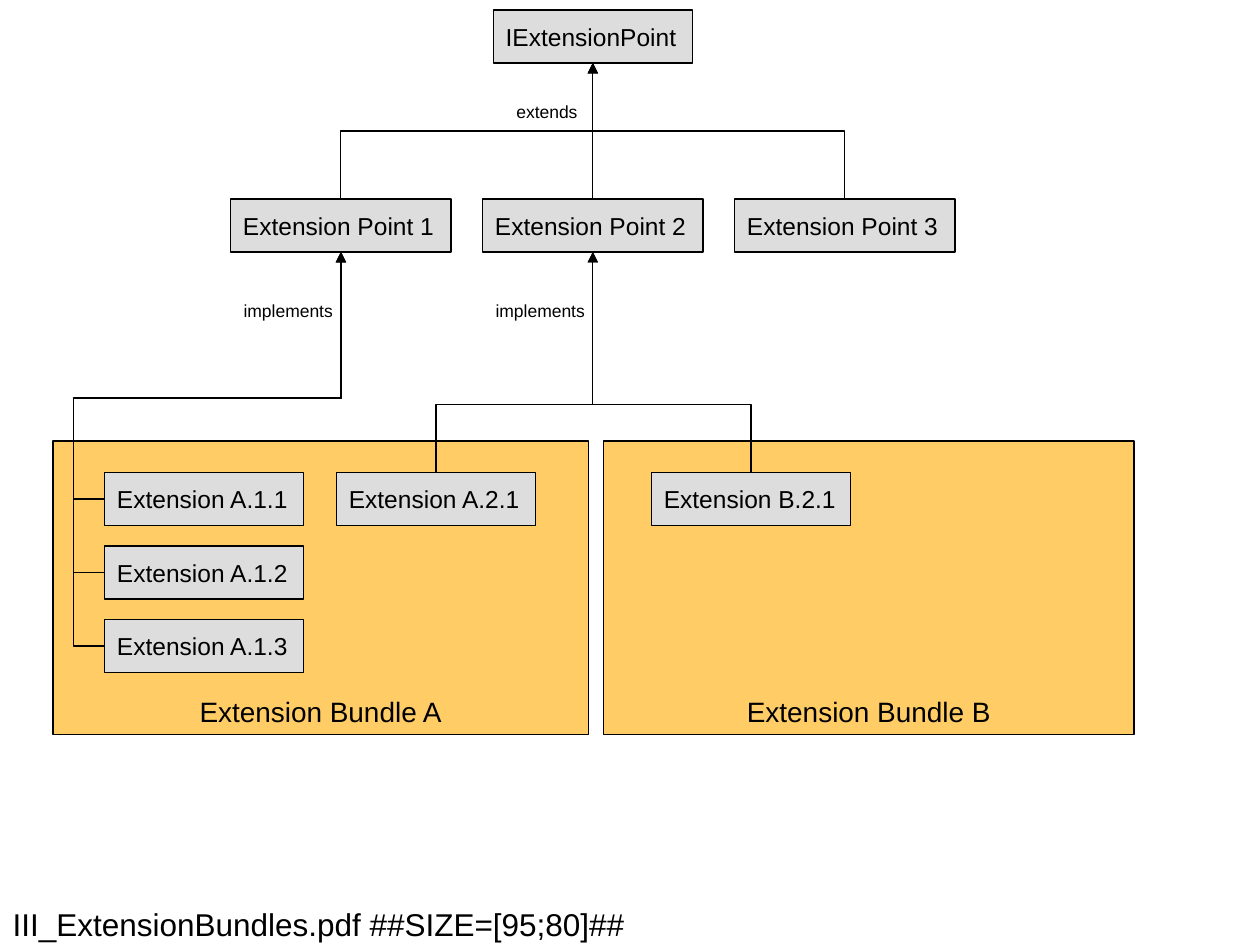
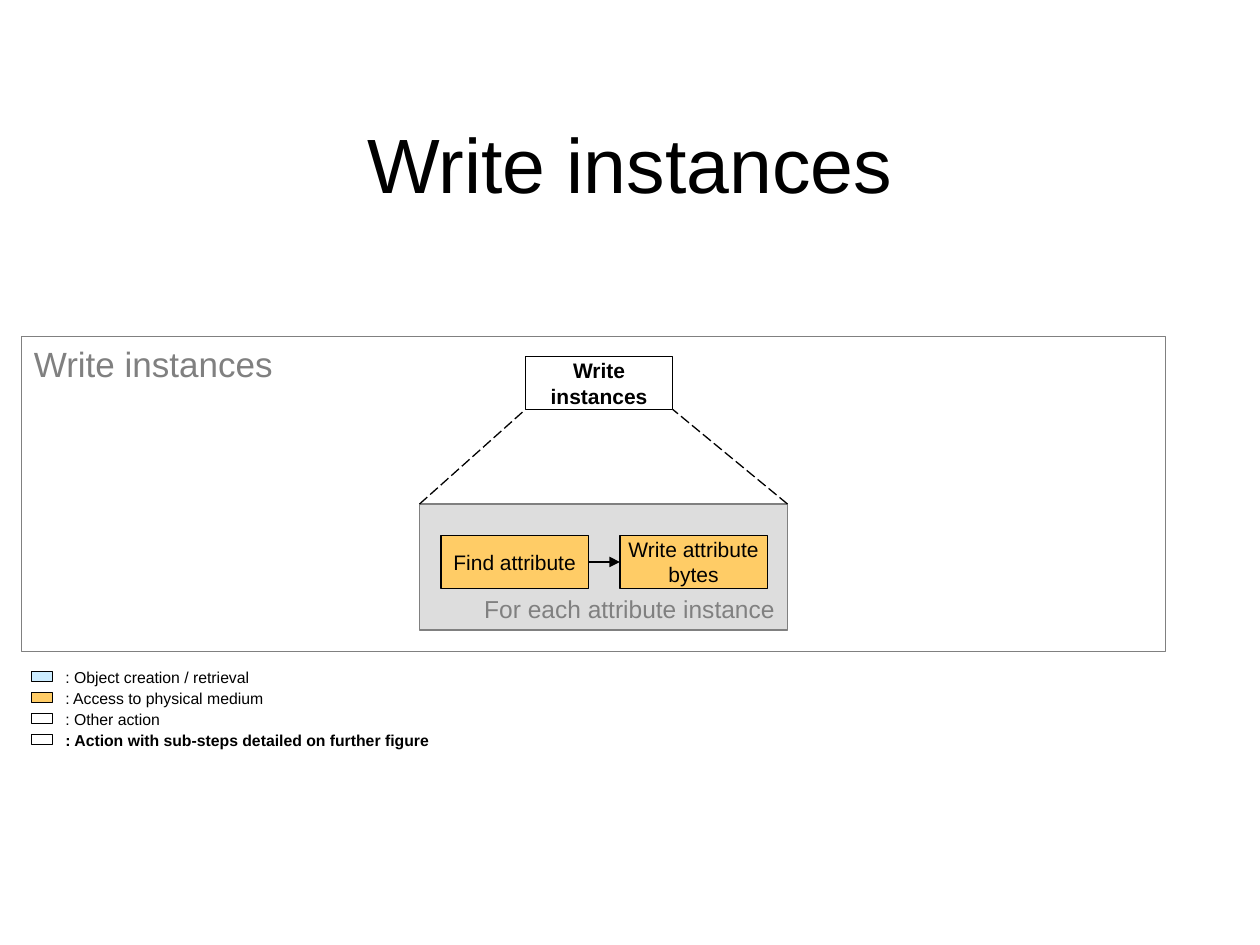
from lxml import etree
from pptx import Presentation
from pptx.dml.color import RGBColor
from pptx.enum.dml import MSO_LINE
from pptx.enum.shapes import MSO_CONNECTOR, MSO_SHAPE
from pptx.enum.text import MSO_ANCHOR, MSO_AUTO_SIZE, PP_ALIGN
from pptx.oxml.ns import qn
from pptx.util import Inches, Pt

RECT = MSO_SHAPE.RECTANGLE
STRAIGHT, ELBOW = MSO_CONNECTOR.STRAIGHT, MSO_CONNECTOR.ELBOW
DASH = MSO_LINE.LONG_DASH
TOP, MID, LOW = MSO_ANCHOR.TOP, MSO_ANCHOR.MIDDLE, MSO_ANCHOR.BOTTOM
LEFT, CENTER, RIGHT = PP_ALIGN.LEFT, PP_ALIGN.CENTER, PP_ALIGN.RIGHT
FIXED = MSO_AUTO_SIZE.NONE

FONT = "Arial"
BLACK, WHITE, GREY, SILVER = "000000", "FFFFFF", "808080", "DDDDDD"
AMBER, SKY = "FFCC66", "CCECFF"
THIN = Pt(0.75)
BOX_H = 0.42
EXT_W = 1.58
STEP_W = 1.17


# Shared helpers
def color(code):
    return RGBColor.from_string(code)


def write(shape, text, size, ink=BLACK, bold=False, align=LEFT,
          anchor=MID, wrap=False):
    frame = shape.text_frame
    for name, value in {"word_wrap": wrap, "auto_size": FIXED,
                        "vertical_anchor": anchor}.items():
        setattr(frame, name, value)
    para = frame.paragraphs[0]
    para.alignment = align
    for i, line in enumerate(text.split("\n")):
        if i:
            para.add_line_break()
        run = para.add_run()
        run.text = line
        for name, value in {"name": FONT, "size": Pt(size),
                            "bold": bold}.items():
            setattr(run.font, name, value)
        run.font.color.rgb = color(ink)
    # A line break takes the size of its text
    for br in para._p.findall(qn("a:br")):
        etree.SubElement(br, qn("a:rPr"), sz=str(size * 100))


def rect(slide, box, fill=None, edge=BLACK, text="", size=14, **style):
    shape = slide.shapes.add_shape(RECT, *map(Inches, box))
    shape.shadow.inherit = False
    if fill:
        shape.fill.solid()
        shape.fill.fore_color.rgb = color(fill)
    else:
        shape.fill.background()
    shape.line.color.rgb = color(edge)
    shape.line.width = THIN
    if text:
        write(shape, text, size, **style)


def label(slide, box, text, size, **style):
    write(slide.shapes.add_textbox(*map(Inches, box)), text, size, **style)


def line(slide, start, end, kind=STRAIGHT, arrow=True, dash=None):
    link = slide.shapes.add_connector(kind, *map(Inches, start + end))
    link.line.color.rgb = color(BLACK)
    link.line.width = THIN
    if dash:
        link.line.dash_style = dash
    props = link._element.spPr
    if arrow:
        etree.SubElement(props.find(qn("a:ln")), qn("a:tailEnd"),
                         type="triangle")
    etree.SubElement(props, qn("a:effectLst"))
    return link


def bend(link, preset, turn, flip, ratios):
    """Set the preset, turn, flips and bend ratios of an elbow."""
    props = link._element.spPr
    xfrm = props.find(qn("a:xfrm"))
    xfrm.set("rot", str(turn * 60000))
    for axis in "HV":
        xfrm.set("flip" + axis, str(int(axis in flip)))
    geom = props.find(qn("a:prstGeom"))
    geom.set("prst", preset)
    guides = geom.find(qn("a:avLst"))
    for i, ratio in enumerate(ratios, 1):
        etree.SubElement(guides, qn("a:gd"), name=f"adj{i}",
                         fmla=f"val {round(ratio * 100000)}")


def rise(slide, start, end, bar):
    """Elbow that climbs to the bar, runs across and climbs on."""
    (x1, y1), (x2, y2) = start, end
    wide, high = abs(x2 - x1), y1 - y2
    link = line(slide, start, end, ELBOW)
    place = {"left": (x1 + x2 - high) / 2, "top": (y1 + y2 - wide) / 2,
             "width": high, "height": wide}
    for name, value in place.items():
        setattr(link, name, Inches(value))
    turn, flip = (90, "HV") if x2 > x1 else (270, "V")
    bend(link, "bentConnector3", turn, flip, [(y1 - bar) / high])


def hook(slide, start, end, out, bar):
    """Elbow that leaves to the left, climbs to the bar and on."""
    (x1, y1), (x2, y2) = start, end
    link = line(slide, start, end, ELBOW)
    bend(link, "bentConnector4", 180, "H",
         [-out / (x2 - x1), (y1 - bar) / (y1 - y2)])


def title(slide, box, text, size, align):
    shape = slide.shapes.title
    for name, value in zip(("left", "top", "width", "height"), box):
        setattr(shape, name, Inches(value))
    write(shape, text, size, align=align, wrap=True)


# Extension points: root and its three children
def points(slide, x, y):
    wide, gap, drop = 1.75, 2, 1.5
    mids = [x + wide / 2 + gap * i for i in range(3)]
    root = (mids[1], y + BOX_H)
    for i, mid in enumerate(mids):
        rect(slide, (x + gap * i, y + drop, wide, BOX_H), SILVER,
             text=f"Extension Point {i + 1}")
    rect(slide, (root[0] - EXT_W / 2, y, EXT_W, BOX_H), SILVER,
         text="IExtensionPoint")
    for mid in mids:
        start = (mid, y + drop)
        if mid == root[0]:
            line(slide, start, root)
        else:
            rise(slide, start, root, y + 0.96)
    label(slide, (x + 2.17, y + 0.67, 0.7, 0.27), "extends", 10,
          anchor=TOP)
    return [(mid, y + drop + BOX_H) for mid in mids]


# Bundle with its named extensions at offsets from its corner
def bundle(slide, box, name, parts):
    x, y = box[:2]
    rect(slide, box, AMBER, text=f"Extension Bundle {name}", size=16,
         align=CENTER, anchor=LOW)
    for text, dx, dy in parts:
        rect(slide, (x + dx, y + dy, EXT_W, BOX_H), SILVER,
             text=f"Extension {text}")


def bundles(slide):
    title(slide, (0, 7.17, 10, 0.33),
          "III_ExtensionBundles.pdf ##SIZE=[95;80]##", 18, LEFT)
    first, second, _ = points(slide, 1.83, 0.08)
    top, pad, pitch = 3.5, 0.25, 7 / 12
    rows = [pad + pitch * i for i in range(3)]
    bundle(slide, (0.42, top, 4.25, 2.33), "A",
           [(f"A.1.{i}", 0.41, dy) for i, dy in enumerate(rows, 1)]
           + [("A.2.1", 2.25, pad)])
    bundle(slide, (4.79, top, 4.21, 2.33), "B", [("B.2.1", 0.38, pad)])
    # Implementing links
    for dy in rows:
        hook(slide, (0.83, top + dy + BOX_H / 2), first, 0.25, 3.16)
    for mid in (3.46, 5.96):
        rise(slide, (mid, top + pad), second, 3.21)
    for mid, _ in (first, second):
        label(slide, (mid - 0.87, 2.33, 0.92, 0.27), "implements", 10,
              anchor=TOP)


# Detail panel: the loop below the action it explains
def detail(slide, box):
    x, y, wide, _ = box
    rect(slide, box, SILVER, GREY, "For each attribute instance",
         ink=GREY, align=RIGHT, anchor=LOW)
    gap = 1.42
    for i, text in enumerate(("Find attribute", "Write attribute\nbytes")):
        rect(slide, (x + 0.17 + gap * i, y + 0.25, STEP_W, BOX_H), AMBER,
             text=text, size=12, align=CENTER)
    mid = y + 0.25 + BOX_H / 2
    line(slide, (x + 0.17 + STEP_W, mid), (x + 0.17 + gap, mid))
    ax, ay = x + 0.84, y - 1.17
    rect(slide, (ax, ay, STEP_W, BOX_H), WHITE, text="Write\ninstances",
         size=12, bold=True, align=CENTER)
    for low, high in ((x, ax), (x + wide, ax + STEP_W)):
        line(slide, (low, y), (high, ay + BOX_H), arrow=False, dash=DASH)


# Legend: one swatch and one text a row
def legend(slide, x, y):
    rows = [(SKY, ": Object creation / retrieval", 1.08),
            (AMBER, ": Access to physical medium", 2.08),
            (WHITE, ": Other action", 1.92),
            (WHITE, ": Action with sub-steps detailed on further figure",
             2.92)]
    for i, (fill, text, wide) in enumerate(rows):
        top = y + i / 6
        rect(slide, (x, top + 0.08, 0.17, 0.08), fill)
        label(slide, (x + 0.17, top, wide, 0.25), text, 9,
              bold=i == len(rows) - 1)


def steps(slide):
    title(slide, (0.75, 0.67, 8.5, 1.25), "Write instances", 44, CENTER)
    detail(slide, (3.33, 4, 2.92, 1))
    rect(slide, (0.17, 2.67, 9.08, 2.5), None, GREY, "Write instances", 20,
         ink=GREY, anchor=TOP)
    legend(slide, 0.25, 5.25)


def main():
    deck = Presentation()
    deck.slide_width, deck.slide_height = Inches(10), Inches(7.5)
    layout = deck.slide_layouts.get_by_name("Title Only")
    for draw in (bundles, steps):
        draw(deck.slides.add_slide(layout))
    deck.save("out.pptx")


if __name__ == "__main__":
    main()
